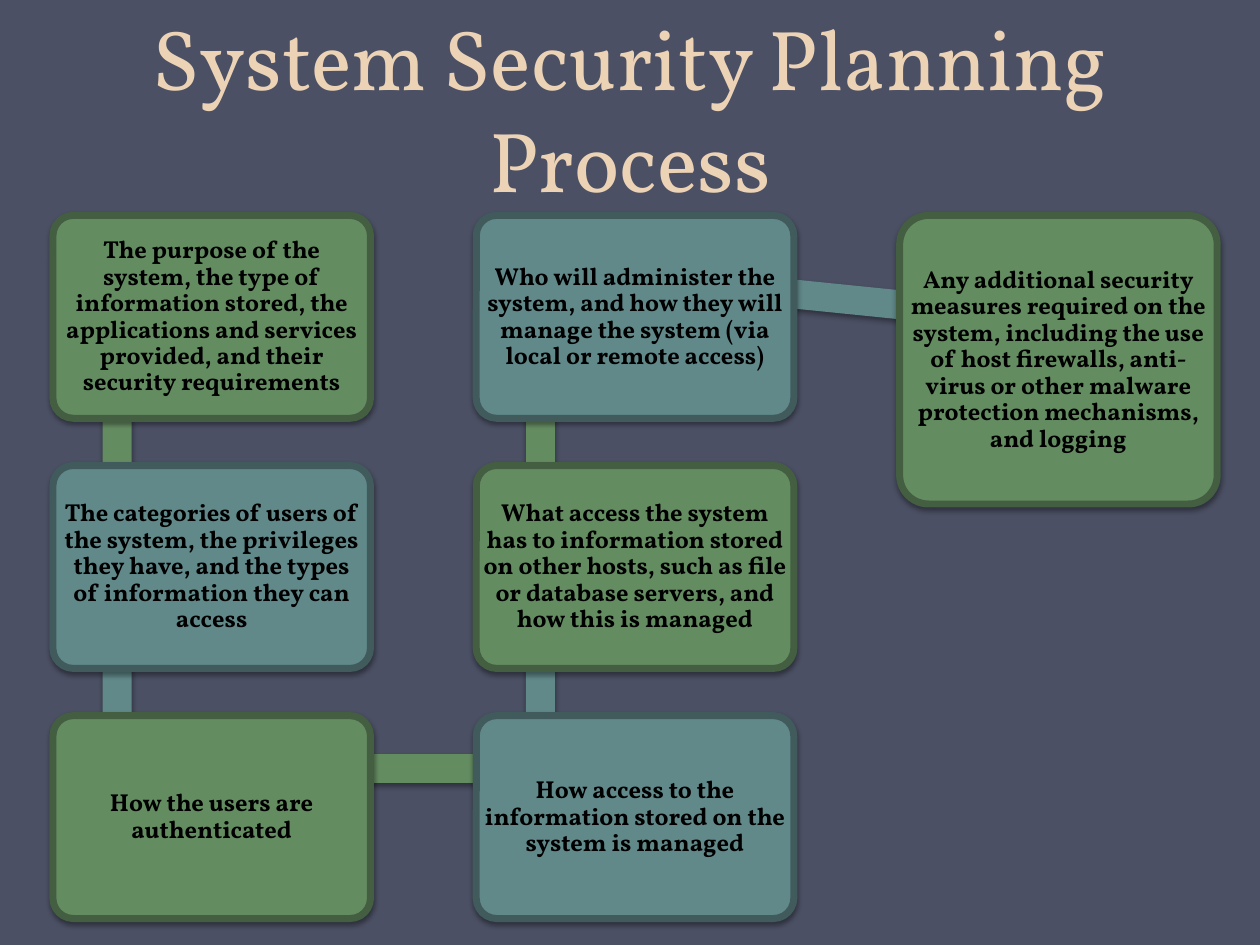
import math

from pptx import Presentation, util as u
from pptx.dml.color import RGBColor
from pptx.enum import shapes, text
from pptx.oxml import parse_xml

FONT = "Vollkorn"
GREEN, BLUE = ("648C61", "435E40"), ("61898A", "415B5C")
SHADOW = (
    '<a:outerShdw xmlns:a="http://schemas.openxmlformats.org/drawingml/2006/main" '
    'blurRad="39000" dist="20000" dir="5400000" rotWithShape="0">'
    '<a:srgbClr val="000000"><a:alpha val="38000"/></a:srgbClr></a:outerShdw>'
)


def paint(color_format, color):
    color_format.rgb = RGBColor.from_string(color)


def add_block(kind, left, top, width, height, fill):
    """Add a filled shape, measured in inches, with a soft shadow below it."""
    block = slide.shapes.add_shape(kind, *map(u.Inches, (left, top, width, height)))
    block.fill.solid()
    paint(block.fill.fore_color, fill)
    block.shadow.inherit = False
    effects = block._element.spPr.find("{*}effectLst")
    effects.append(parse_xml(SHADOW))
    return block


prs = Presentation()
prs.slide_width, prs.slide_height = u.Inches(10), u.Inches(7.5)
slide = prs.slides.add_slide(prs.slide_layouts[5])
slide.background.fill.solid()
paint(slide.background.fill.fore_color, "4B5064")

title = slide.shapes.title
title.left, title.top = 0, u.Inches(0.21)
title.width, title.height = prs.slide_width, u.Inches(1.5)
heading = title.text_frame
heading.text = "System Security Planning Process"
heading.auto_size = text.MSO_AUTO_SIZE.NONE
heading.word_wrap = True
heading.vertical_anchor = text.MSO_ANCHOR.BOTTOM
line = heading.paragraphs[0]
line.alignment = text.PP_ALIGN.CENTER
line.line_spacing = u.Pt(58)
line.font.name, line.font.size = FONT, u.Pt(48.6)
paint(line.font.color, "EDD3B6")

# The steps run down the first column, up the second and on to the third.
GRID_LEFT, GRID_TOP = 0.42, 1.71
COLUMN_STEP, ROW_STEP = 3.36, 1.985
CARD_WIDTH, CARD_HEIGHT, LAST_HEIGHT = 2.52, 1.61, 2.29
BAR_THICKNESS = 0.23
steps = [
    (0, 0, "The purpose of the system, the type of information stored, the "
           "applications and services provided, and their security requirements"),
    (0, 1, "The categories of users of the system, the privileges they have, "
           "and the types of information they can access"),
    (0, 2, "How the users are authenticated"),
    (1, 2, "How access to the information stored on the system is managed"),
    (1, 1, "What access the system has to information stored on other hosts, "
           "such as file or database servers, and how this is managed"),
    (1, 0, "Who will administer the system, and how they will manage the "
           "system (via local or remote access)"),
    (2, 0, "Any additional security measures required on the system, including "
           "the use of host firewalls, anti-virus or other malware protection "
           "mechanisms, and logging"),
]

cards = []
for column, row, wording in steps:
    height = LAST_HEIGHT if column == 2 else CARD_HEIGHT
    cards.append((GRID_LEFT + column * COLUMN_STEP, GRID_TOP + row * ROW_STEP,
                  height, wording))
# Each bar runs between points inside two successive cards.
joints = [(left + 0.51, top + height / 2 - 0.385) for left, top, height, _ in cards]

for index, (left, top, height, wording) in enumerate(cards):
    fill, border = (GREEN, BLUE)[index % 2]

    if index + 1 < len(cards):
        (x1, y1), (x2, y2) = joints[index:index + 2]
        length = math.hypot(x2 - x1, y2 - y1)
        bar = add_block(shapes.MSO_SHAPE.RECTANGLE, (x1 + x2 - length) / 2,
                        (y1 + y2 - BAR_THICKNESS) / 2, length, BAR_THICKNESS, fill)
        bar.rotation = math.degrees(math.atan2(y2 - y1, x2 - x1)) % 360
        bar.line.fill.background()

    card = add_block(shapes.MSO_SHAPE.ROUNDED_RECTANGLE, left, top,
                     CARD_WIDTH, height, fill)
    card.adjustments[0] = 0.1
    card.line.width = u.Pt(4)
    paint(card.line.color, border)
    frame = card.text_frame
    frame.text = wording
    frame.word_wrap = True
    frame.vertical_anchor = text.MSO_ANCHOR.MIDDLE
    frame.margin_left = frame.margin_right = u.Inches(0.01)
    frame.margin_top = frame.margin_bottom = u.Inches(0.01)
    paragraph = frame.paragraphs[0]
    paragraph.alignment = text.PP_ALIGN.CENTER
    paragraph.line_spacing = 0.9
    paragraph.font.name, paragraph.font.size = FONT, u.Pt(14)
    paragraph.font.bold = True
    paint(paragraph.font.color, "000000")

prs.save("out.pptx")
